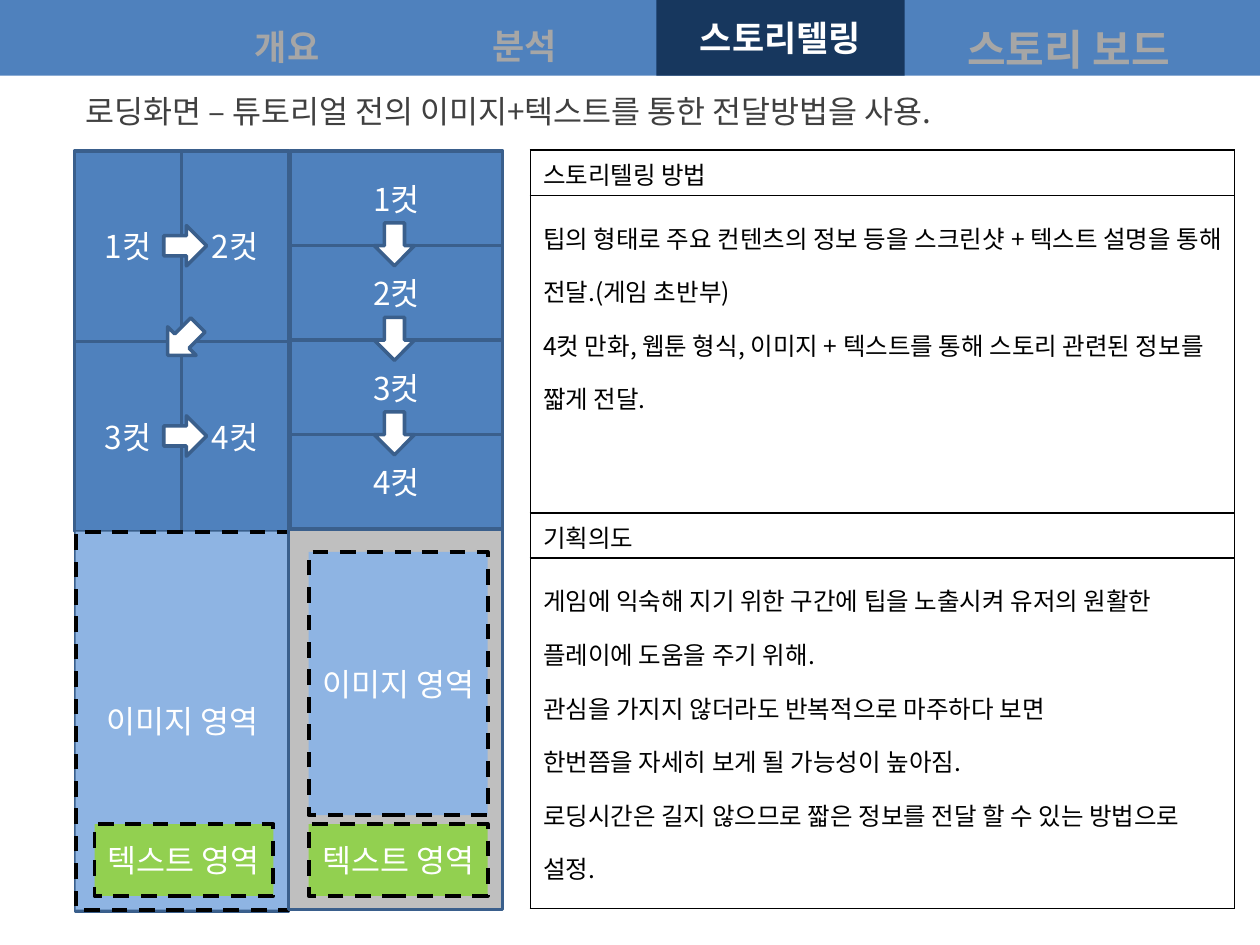
import dataclasses

import pptx
import pptx.dml.color
import pptx.enum.dml
import pptx.enum.shapes
import pptx.enum.text
import pptx.oxml
import pptx.oxml.ns
import pptx.util

SHAPE = pptx.enum.shapes.MSO_SHAPE
ALIGN = pptx.enum.text.PP_ALIGN
ANCHOR = pptx.enum.text.MSO_ANCHOR
DRAWING_NS = pptx.oxml.ns.nsdecls("a")

SLIDE_WIDTH, SLIDE_HEIGHT = pptx.util.Inches(10), pptx.util.Inches(7.5)
GRID_COLUMNS, GRID_ROWS = 100, 75


@dataclasses.dataclass(frozen=True)
class Theme:
    blue: str = "4F81BD"
    navy: str = "17375E"
    outline: str = "3A5F8C"
    sky: str = "8EB4E3"
    green: str = "92D050"
    gray: str = "808080"
    muted: str = "A6A6A6"
    heading: str = "404040"
    black: str = "000000"
    white: str = "FFFFFF"
    font: str = "Noto Sans CJK KR"
    tab_font: str = "Arial"
    body_size: int = 14
    label_size: int = 18
    tab_size: int = 20
    board_size: int = 24


THEME = Theme()

METHOD = [
    "팁의 형태로 주요 컨텐츠의 정보 등을 스크린샷 + 텍스트 설명을 통해 전달.(게임 초반부)",
    "4컷 만화, 웹툰 형식, 이미지 + 텍스트를 통해 스토리 관련된 정보를 짧게 전달.",
]
INTENT = [
    "게임에 익숙해 지기 위한 구간에 팁을 노출시켜 유저의 원활한 플레이에 도움을 주기 위해.",
    "관심을 가지지 않더라도 반복적으로 마주하다 보면",
    "한번쯤을 자세히 보게 될 가능성이 높아짐.",
    "로딩시간은 길지 않으므로 짧은 정보를 전달 할 수 있는 방법으로 설정.",
]


def rgb(color):
    return pptx.dml.color.RGBColor.from_string(color)


def across(columns):
    return round(SLIDE_WIDTH * columns / GRID_COLUMNS)


def down(rows):
    return round(SLIDE_HEIGHT * rows / GRID_ROWS)


def place(column, row, columns, rows):
    return across(column), down(row), across(columns), down(rows)


def apply(target, formats):
    for attribute, value in formats.items():
        setattr(target, attribute, value)


def write(frame, lines, color, size=THEME.label_size, font=THEME.font,
          bold=False, **paragraph_formats):
    for index, line in enumerate(lines):
        paragraph = frame.paragraphs[0] if index == 0 else frame.add_paragraph()
        apply(paragraph, paragraph_formats)
        run = paragraph.add_run()
        run.text = line
        apply(run.font, {"name": font, "size": pptx.util.Pt(size), "bold": bold})
        run.font.color.rgb = rgb(color)
        run.font._element.find(pptx.oxml.ns.qn("a:latin")).addnext(
            pptx.oxml.parse_xml(f'<a:ea {DRAWING_NS} typeface="{THEME.font}"/>'))


def add_block(shapes, box, fill, line=None, kind=SHAPE.RECTANGLE, width=2):
    block = shapes.add_shape(kind, *place(*box))
    block.shadow.inherit = False
    block.fill.solid()
    block.fill.fore_color.rgb = rgb(fill)
    if line:
        block.line.color.rgb = rgb(line)
        block.line.width = pptx.util.Pt(width)
    else:
        block.line.fill.background()
    return block


def add_label(block, text, **text_formats):
    margin = across(0.5)
    apply(block.text_frame, {"word_wrap": True, "margin_left": margin,
                             "margin_right": margin,
                             "vertical_anchor": ANCHOR.MIDDLE})
    write(block.text_frame, [text], alignment=ALIGN.CENTER, **text_formats)


def add_cut(shapes, box, number):
    cut = add_block(shapes, box, THEME.blue, THEME.outline)
    add_label(cut, f"{number}컷", color=THEME.white)


def add_arrow(shapes, column, row, rotation=0):
    arrow = add_block(shapes, (column, row, 3.4, 3.2), THEME.white,
                      THEME.outline, SHAPE.RIGHT_ARROW)
    arrow.rotation = rotation


def add_area(shapes, box, text, fill):
    """Dashed zone of a loading screen."""
    area = add_block(shapes, box, fill, THEME.black, width=2.25)
    area.line.dash_style = pptx.enum.dml.MSO_LINE.DASH
    add_label(area, text, color=THEME.white)


def add_tabs(shapes):
    add_block(shapes, (0, 0, GRID_COLUMNS, 6), THEME.blue)
    current = add_block(shapes, (52.1, 0, 19.7, 6), THEME.navy)
    add_label(current, "스토리텔링", color=THEME.white, size=THEME.tab_size,
              font=THEME.tab_font, bold=True)
    for text, box, size, font in (
        ("분석", (31.9, 0.1, 19.5, 5.4), THEME.tab_size, THEME.tab_font),
        ("개요", (16.1, -0.2, 13.4, 6.1), THEME.tab_size, THEME.tab_font),
        ("스토리 보드", (70, -0.7, 29.6, 7.1), THEME.board_size, THEME.font),
    ):
        tab = shapes.add_textbox(*place(*box))
        add_label(tab, text, color=THEME.muted, size=size, font=font,
                  bold=True, line_spacing=1.5)


def add_heading(shapes):
    heading = shapes.add_textbox(*place(5.8, 6.8, 77, 4))
    heading.text_frame.word_wrap = False
    write(heading.text_frame,
          ["로딩화면 – 튜토리얼 전의 이미지+텍스트를 통한 전달방법을 사용."],
          THEME.heading)


def add_borders(cell):
    properties = cell._tc.get_or_add_tcPr()
    for side in "LRTB":
        properties.append(pptx.oxml.parse_xml(
            f'<a:ln{side} {DRAWING_NS} w="{pptx.util.Pt(1)}"><a:solidFill>'
            f'<a:srgbClr val="{THEME.black}"/></a:solidFill></a:ln{side}>'))


def add_explanation(shapes):
    sections = (
        (["스토리텔링 방법"], 3.6, 1),
        (METHOD, 25.2, 1.5),
        (["기획의도"], 3.6, 1),
        (INTENT, 27.8, 1.5),
    )
    table = shapes.add_table(len(sections), 1, *place(42.1, 11.9, 55.9, 60.2)).table
    apply(table, {"first_row": False, "horz_banding": False})
    for index, (lines, rows, spacing) in enumerate(sections):
        table.rows[index].height = down(rows)
        cell = table.cell(index, 0)
        add_borders(cell)
        cell.fill.background()
        write(cell.text_frame, lines, THEME.black, THEME.body_size,
              line_spacing=spacing)


def add_comic_grid(shapes):
    """Four cuts, two by two, read in a Z."""
    left, top, width, height = 5.9, 12, 8.5, 15.1
    for index in range(4):
        row, column = divmod(index, 2)
        add_cut(shapes, (left + column * width, top + row * height, width, height),
                index + 1)
    add_arrow(shapes, 13, 17.9)
    add_arrow(shapes, 12.8, 25.4, 135)
    add_arrow(shapes, 13, 33)


def add_webtoon_strip(shapes):
    """Four cuts, one below the other."""
    top, height = 12, 7.5
    for index in range(4):
        add_cut(shapes, (23, top + index * height, 16.9, height), index + 1)
    for index in range(3):
        add_arrow(shapes, 29.6, 17.8 + index * height, 90)


def add_loading_screen(shapes, screen, image, text):
    backdrop = add_block(shapes, screen, THEME.gray, THEME.outline)
    backdrop.fill._xPr.find(".//" + pptx.oxml.ns.qn("a:srgbClr")).append(
        pptx.oxml.parse_xml(f'<a:alpha {DRAWING_NS} val="50000"/>'))
    add_area(shapes, image, "이미지 영역", THEME.sky)
    add_area(shapes, text, "텍스트 영역", THEME.green)


def main():
    presentation = pptx.Presentation()
    apply(presentation, {"slide_width": SLIDE_WIDTH, "slide_height": SLIDE_HEIGHT})
    shapes = presentation.slides.add_slide(presentation.slide_layouts[6]).shapes
    add_tabs(shapes)
    add_heading(shapes)
    add_explanation(shapes)
    add_comic_grid(shapes.add_group_shape().shapes)
    add_loading_screen(shapes.add_group_shape().shapes, (6, 42.2, 16.9, 30.1),
                       (6, 42.2, 16.9, 30), (7.5, 65.4, 14.2, 5.7))
    add_loading_screen(shapes.add_group_shape().shapes, (22.9, 42, 17, 30.2),
                       (24.5, 43.8, 14.2, 20.9), (24.5, 65.4, 14.2, 5.7))
    add_webtoon_strip(shapes.add_group_shape().shapes)
    presentation.save("out.pptx")


if __name__ == "__main__":
    main()
